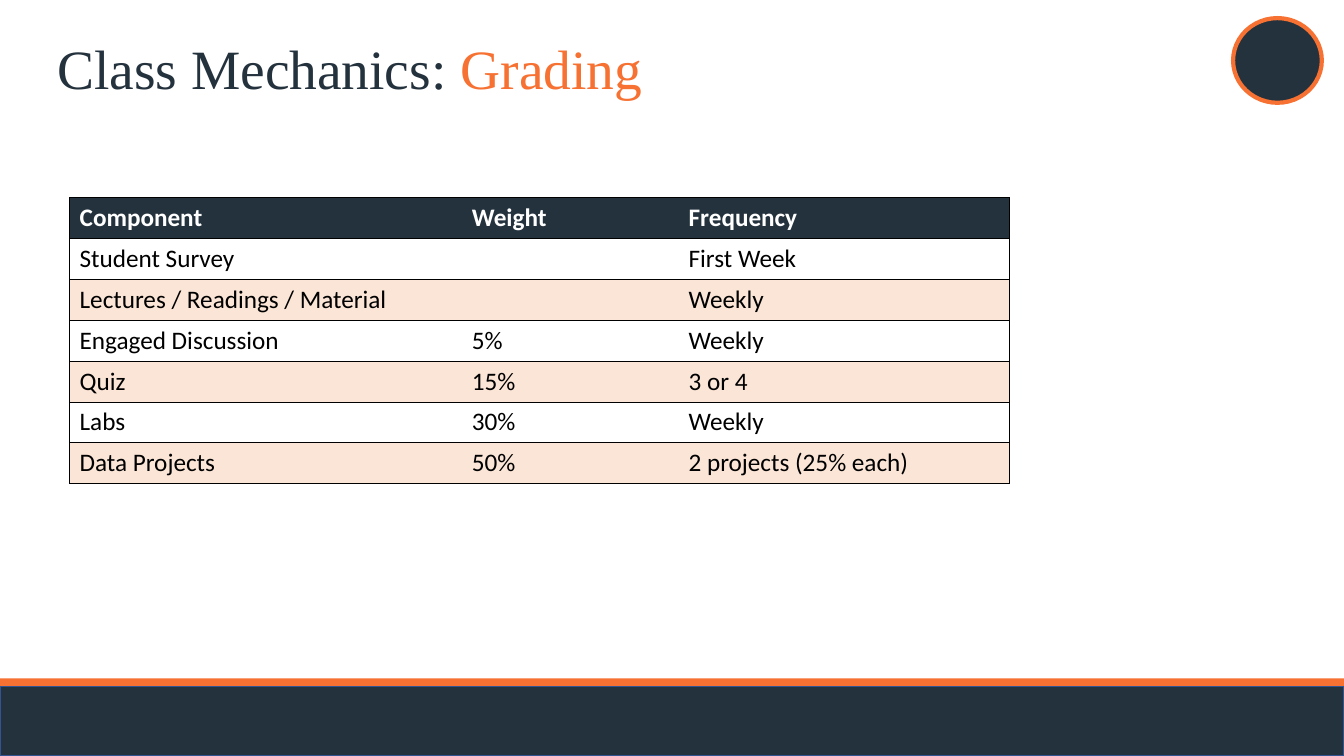
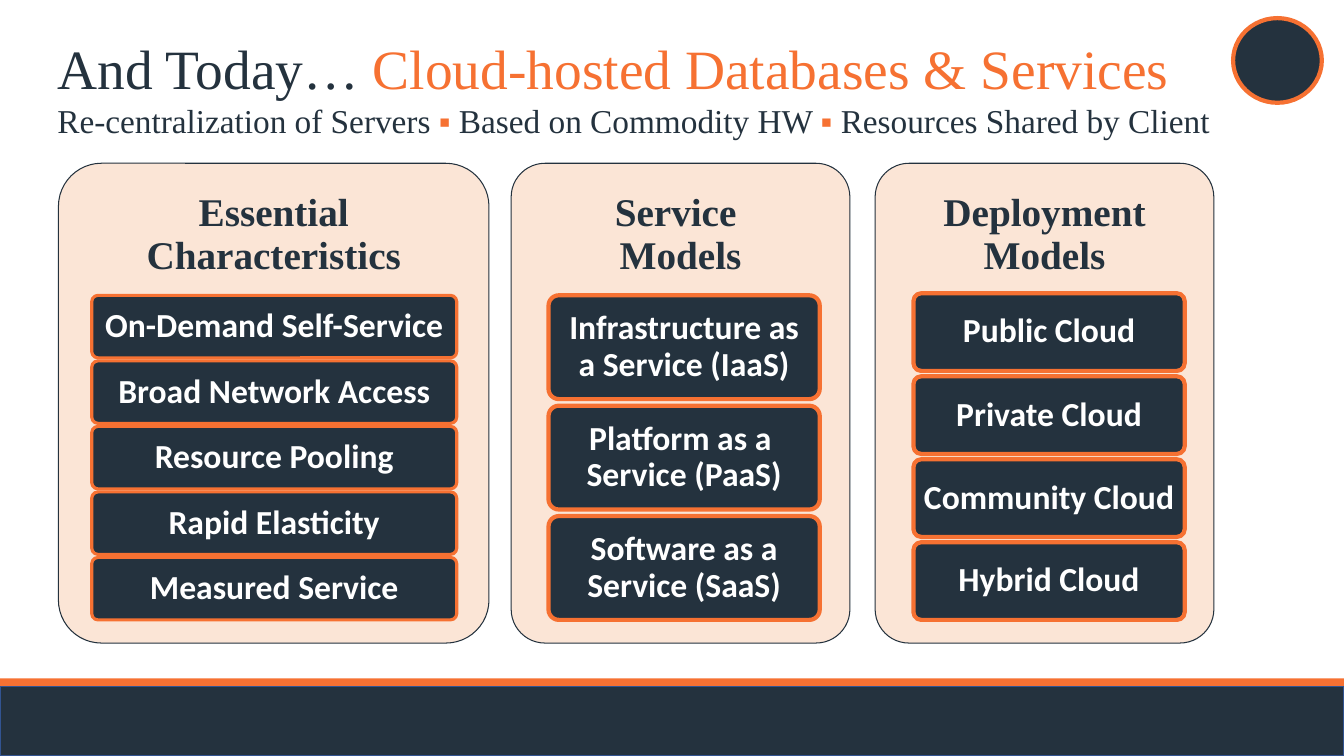
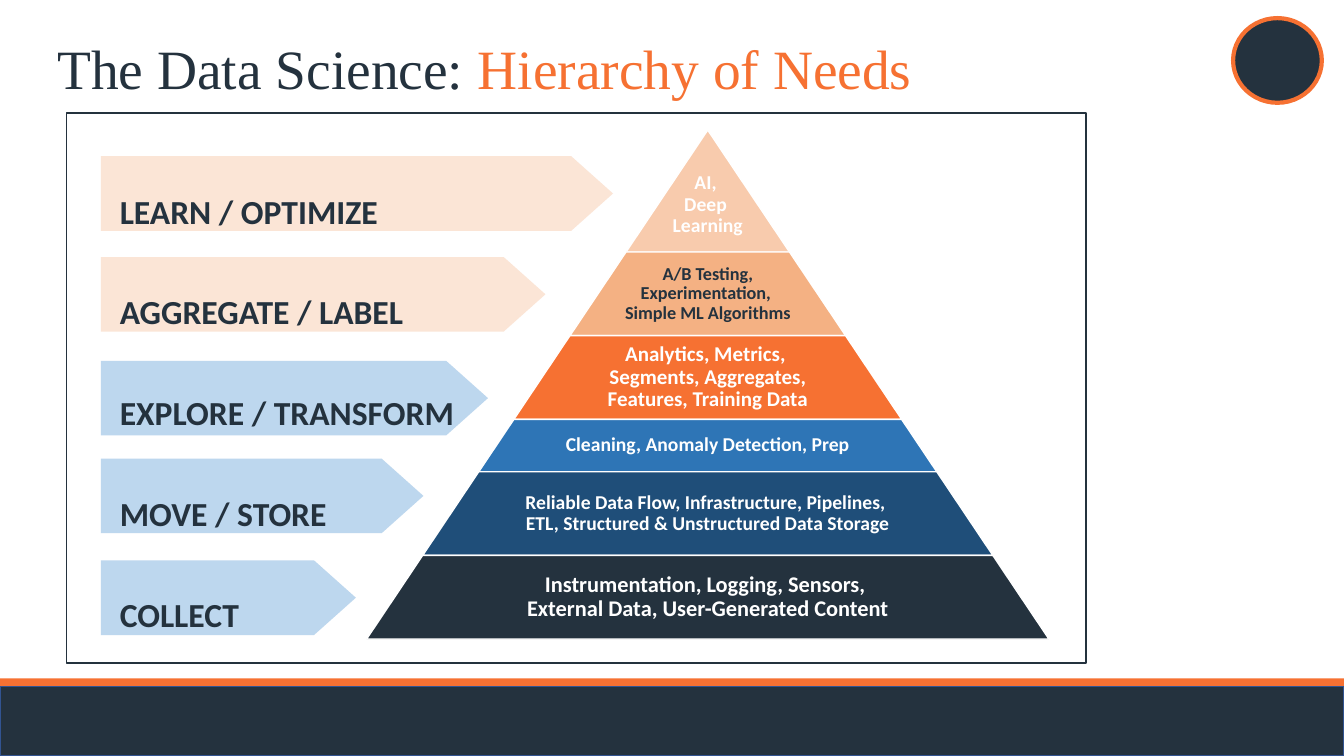
"""Build three course slides: grading, cloud services and the data pyramid."""
from copy import deepcopy
from dataclasses import dataclass
from typing import Any, Sequence

from lxml import etree
from pptx import Presentation
from pptx import util as u
from pptx.dml import color as dml
from pptx.enum import shapes, text
from pptx.oxml import ns

Kind = shapes.MSO_SHAPE
Inches = u.Inches
MID = text.MSO_ANCHOR.MIDDLE
CENTER = text.PP_ALIGN.CENTER


@dataclass(frozen=True)
class Theme:
    """Colours, fonts and type sizes."""
    navy: str = "24323E"
    orange: str = "F67132"
    peach: str = "FBE5D6"
    white: str = "FFFFFF"
    black: str = "000000"
    edge: str = "325491"
    sky: str = "BDD7EE"
    blush: str = "F8CBAD"
    sand: str = "F4B183"
    blue: str = "2E75B6"
    deep: str = "1F4E79"
    serif: str = "Times New Roman"
    sans: str = "Calibri"
    title: float = 39.6
    sub: float = 23.8
    head: float = 28
    label: float = 24
    cell: float = 18


T = Theme()


@dataclass(frozen=True)
class Box:
    """A place on the slide in inches."""
    x: float
    y: float
    w: float
    h: float

    def args(self) -> list[int]:
        """Return the place as lengths."""
        return [Inches(v) for v in (self.x, self.y, self.w, self.h)]


@dataclass(frozen=True)
class Run:
    """A stretch of text in one style."""
    words: str
    size: float
    color: str = T.navy
    face: str = T.sans
    bold: bool = True


@dataclass(frozen=True)
class Panel:
    """A rounded panel with a heading and a stack of boxes."""
    head: str
    x: float
    w: float
    inset: float
    top: float
    wide: float
    high: float
    line: float
    items: tuple[str, ...]


@dataclass(frozen=True)
class Tier:
    """One band of the pyramid."""
    words: str
    high: float
    fill: str
    size: float
    color: str = T.white
    share: float = 0.65
    drop: float = 0


@dataclass(frozen=True)
class Arrow:
    """One stage arrow."""
    words: str
    y: float
    w: float
    fill: str


def rgb(code: str) -> dml.RGBColor:
    """Turn a hex code into a colour."""
    return dml.RGBColor.from_string(code)


def put(item: Any, form: dict[str, Any]) -> None:
    """Set each value of a format on an object."""
    for name, value in form.items():
        setattr(item, name, value)


def write(frame: Any, paras: Sequence[Sequence[Run]], form: dict[str, Any] | None = None) -> None:
    """Write styled paragraphs into a text frame."""
    for n, runs in enumerate(paras):
        para = frame.paragraphs[0] if n == 0 else frame.add_paragraph()
        put(para, form or {})
        for run in runs:
            for i, line in enumerate(run.words.split("\n")):
                if i:
                    para.add_line_break()
                part = para.add_run()
                part.text = line
                put(part.font, {"size": u.Pt(run.size), "name": run.face, "bold": run.bold})
                part.font.color.rgb = rgb(run.color)
                for gap in para._p.findall(ns.qn("a:br")):
                    if len(gap) == 0:
                        gap.append(deepcopy(part.font._element))


def setup(frame: Any, side: float, edge: float, drop: float = 0, anchor: Any = MID) -> None:
    """Set wrapping, margins and anchor of a text frame."""
    put(frame, {"word_wrap": True, "vertical_anchor": anchor,
                "margin_left": Inches(side), "margin_right": Inches(side),
                "margin_top": Inches(edge + drop), "margin_bottom": Inches(edge)})


def label(slide: Any, box: Box, paras: Sequence[Sequence[Run]], form: dict[str, Any],
          side: float = 0.1, edge: float = 0.05, drop: float = 0, anchor: Any = MID) -> None:
    """Add a text box."""
    frame = slide.shapes.add_textbox(*box.args()).text_frame
    setup(frame, side, edge, drop, anchor)
    write(frame, paras, form)


def draw(slide: Any, kind: Any, box: Box, fill: str = "", line: str = "",
         width: float = 1, adj: float | None = None) -> Any:
    """Add a flat shape."""
    shape = slide.shapes.add_shape(kind, *box.args())
    shape.shadow.inherit = False
    if adj is not None:
        shape.adjustments[0] = adj
    for paint, code in ((shape.fill, fill), (shape.line.fill, line)):
        if code:
            paint.solid()
            paint.fore_color.rgb = rgb(code)
        else:
            paint.background()
    if line:
        shape.line.width = u.Pt(width)
    return shape


def start(deck: Any, lead: str, topic: str) -> Any:
    """Add a slide with the shared bands, badge and title."""
    slide = deck.slides.add_slide(deck.slide_layouts[6])
    draw(slide, Kind.RECTANGLE, Box(0, 6.73, 13.33, 0.28), T.orange)
    draw(slide, Kind.RECTANGLE, Box(0, 6.81, 13.33, 0.69), T.navy, T.edge)
    draw(slide, Kind.OVAL, Box(12.23, 0.18, 0.88, 0.84), T.navy, T.orange, 3)
    runs = [Run(words, T.title, tone, T.serif, False)
            for words, tone in ((lead, T.navy), (topic, T.orange))]
    label(slide, Box(0.47, 0.4, 11.62, 0.62), [runs], {"line_spacing": 0.9})
    return slide


def border(cell: Any, sides: dict[str, bool]) -> None:
    """Draw or clear the borders of a cell."""
    props = cell._tc.get_or_add_tcPr()
    for n, (side, on) in enumerate(sides.items()):
        line = etree.Element(ns.qn(f"a:ln{side}"), w=str(u.Pt(0.5)))
        paint = etree.SubElement(line, ns.qn("a:solidFill" if on else "a:noFill"))
        if on:
            etree.SubElement(paint, ns.qn("a:srgbClr"), val=T.black)
        props.insert(n, line)


def grading(deck: Any) -> None:
    """Build the grading table."""
    slide = start(deck, "Class Mechanics: ", "Grading")
    rows = (("Component", "Weight", "Frequency"),
            ("Student Survey", "", "First Week"),
            ("Lectures / Readings / Material", "", "Weekly"),
            ("Engaged Discussion", "5%", "Weekly"),
            ("Quiz", "15%", "3 or 4"),
            ("Labs", "30%", "Weekly"),
            ("Data Projects", "50%", "2 projects (25% each)"))
    widths = (3.89, 2.15, 3.28)
    place = Box(0.69, 1.96, sum(widths), 2.84)
    grid = slide.shapes.add_table(len(rows), len(widths), *place.args()).table
    put(grid, {"first_row": True, "horz_banding": False})
    for col, width in zip(grid.columns, widths):
        col.width = Inches(width)
    for r, row in enumerate(rows):
        fill = T.navy if r == 0 else T.white if r % 2 else T.peach
        for c, words in enumerate(row):
            cell = grid.cell(r, c)
            cell.fill.solid()
            cell.fill.fore_color.rgb = rgb(fill)
            border(cell, {"L": c == 0, "R": c == len(widths) - 1, "T": True, "B": True})
            if words:
                tone = T.black if r else T.white
                write(cell.text_frame, [[Run(words, T.cell, tone, bold=r == 0)]])


def stack(slide: Any, panel: Panel) -> None:
    """Draw a panel and spread its boxes down to a common base."""
    form = {"alignment": CENTER, "line_spacing": 0.9}
    top, base = 1.62, 6.15
    draw(slide, Kind.ROUNDED_RECTANGLE, Box(panel.x, top, panel.w, 4.76),
         T.peach, T.navy, 0.75, 0.1)
    label(slide, Box(panel.x, top, panel.w, 1.43),
          [[Run(panel.head, T.head, face=T.serif)]], form, 0.12, 0.12)
    step = (base - panel.high - panel.top) / (len(panel.items) - 1)
    for n, words in enumerate(panel.items):
        box = Box(panel.x + panel.inset, panel.top + n * step, panel.wide, panel.high)
        shape = draw(slide, Kind.ROUNDED_RECTANGLE, box, T.navy, T.orange, panel.line, 0.1)
        setup(shape.text_frame, 0.07, 0.05)
        write(shape.text_frame, [[Run(words, T.label, T.white)]], form)


def cloud(deck: Any) -> None:
    """Build the cloud services panels."""
    slide = start(deck, "And Today… ", "Cloud-hosted Databases & Services")
    panels = (
        Panel("Essential Characteristics", 0.58, 4.27, 0.33, 2.93, 3.62, 0.62, 2.25,
              ("On-Demand Self-Service", "Broad Network Access", "Resource Pooling",
               "Rapid Elasticity", "Measured Service")),
        Panel("Service \nModels", 5.07, 3.36, 0.37, 2.93, 2.69, 1.03, 3,
              ("Infrastructure as a Service (IaaS)", "Platform as a \nService (PaaS)",
               "Software as a Service (SaaS)")),
        Panel("Deployment Models", 8.68, 3.36, 0.38, 2.91, 2.69, 0.77, 3,
              ("Public Cloud", "Private Cloud", "Community Cloud", "Hybrid Cloud")))
    for panel in panels:
        stack(slide, panel)
    parts = ("Re-centralization of Servers ", "▪", " Based on Commodity HW ", "▪",
             " Resources Shared by Client")
    runs = [Run(words, T.sub, T.orange if n % 2 else T.navy, T.serif, n % 2 == 1)
            for n, words in enumerate(parts)]
    label(slide, Box(0.47, 1.05, 12.19, 0.4), [runs], {"line_spacing": 0.7},
          anchor=text.MSO_ANCHOR.TOP)


def needs(deck: Any) -> None:
    """Build the pyramid of needs and its stage arrows."""
    slide = start(deck, "The Data Science: ", "Hierarchy of Needs")
    tiers = (
        Tier("AI, \nDeep \nLearning", 1.21, T.blush, 14, share=1, drop=0.27),
        Tier("A/B Testing, Experimentation, \nSimple ML Algorithms", 0.83, T.sand, 13, T.navy),
        Tier("Analytics, Metrics, \nSegments, Aggregates, Features, Training Data",
             0.83, T.orange, 15),
        Tier("Cleaning, Anomaly Detection, Prep", 0.52, T.blue, 14),
        Tier("Reliable Data Flow, Infrastructure, Pipelines, \n"
             "ETL, Structured & Unstructured Data Storage", 0.83, T.deep, 14),
        Tier("Instrumentation, Logging, Sensors, \nExternal Data, User-Generated Content",
             0.83, T.navy, 16))
    apex, mid, slope = 1.29, 7.02, 0.67
    top = apex
    for tier in tiers:
        wide = 2 * slope * (top + tier.high - apex)
        draw(slide, Kind.TRAPEZOID, Box(mid - wide / 2, top, wide, tier.high),
             tier.fill, T.white, 1, slope)
        span = wide * tier.share
        label(slide, Box(mid - span / 2, top, span, tier.high),
              [[Run(tier.words, tier.size, tier.color)]],
              {"alignment": CENTER, "line_spacing": 0.9}, 0.02, 0.02, tier.drop)
        top += tier.high
    arrows = (Arrow("LEARN / OPTIMIZE", 1.55, 5.08, T.peach),
              Arrow("AGGREGATE / LABEL", 2.55, 4.41, T.peach),
              Arrow("EXPLORE / TRANSFORM", 3.58, 3.84, T.sky),
              Arrow("MOVE / STORE", 4.55, 3.2, T.sky),
              Arrow("COLLECT", 5.56, 2.53, T.sky))
    for arrow in arrows:
        draw(slide, Kind.PENTAGON, Box(1, arrow.y, arrow.w, 0.74), arrow.fill, adj=0.56)
    label(slide, Box(1.09, 1.24, 3.8, 4.99), [[Run(a.words, T.label)] for a in arrows],
          {"line_spacing": 2.5}, anchor=text.MSO_ANCHOR.TOP)
    draw(slide, Kind.RECTANGLE, Box(0.66, 1.12, 10.11, 5.46), line=T.navy)


def main() -> None:
    """Build and save the deck."""
    deck = Presentation()
    put(deck, {"slide_width": Inches(13.33), "slide_height": Inches(7.5)})
    for build in (grading, cloud, needs):
        build(deck)
    deck.save("out.pptx")


if __name__ == "__main__":
    main()
